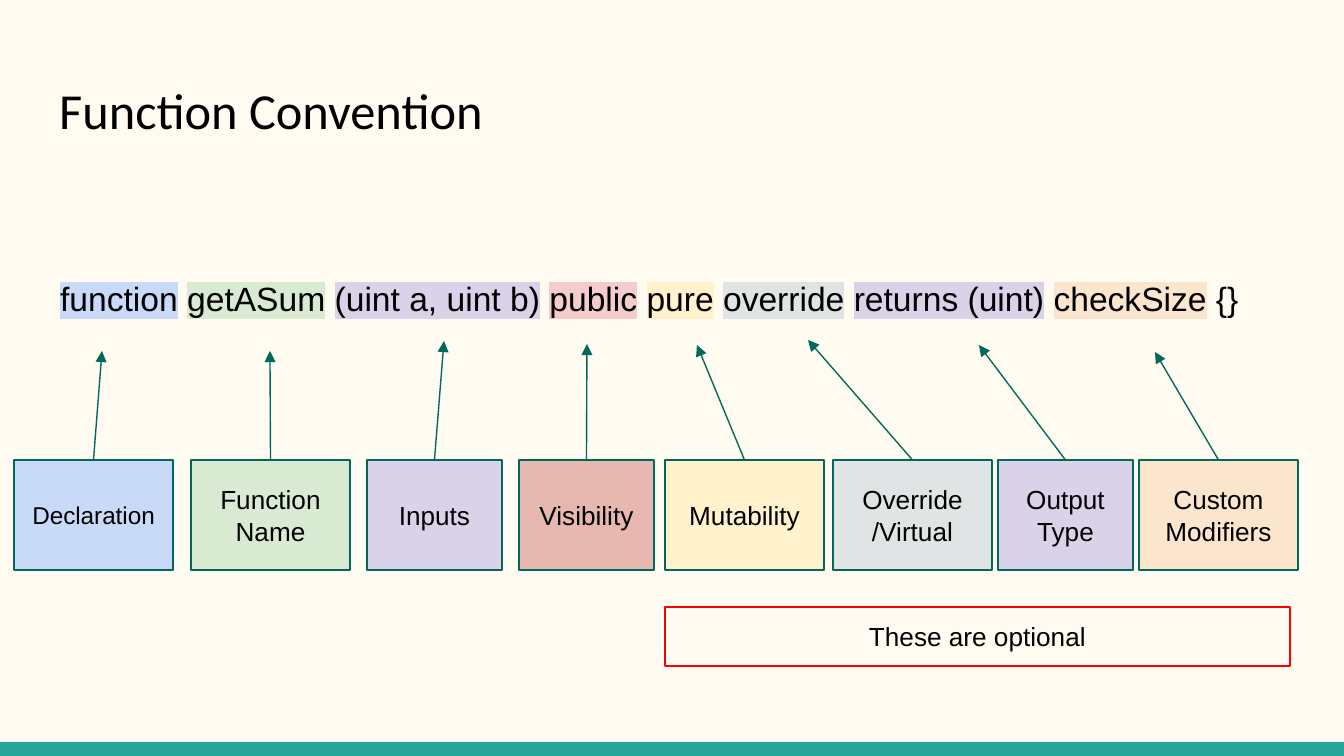
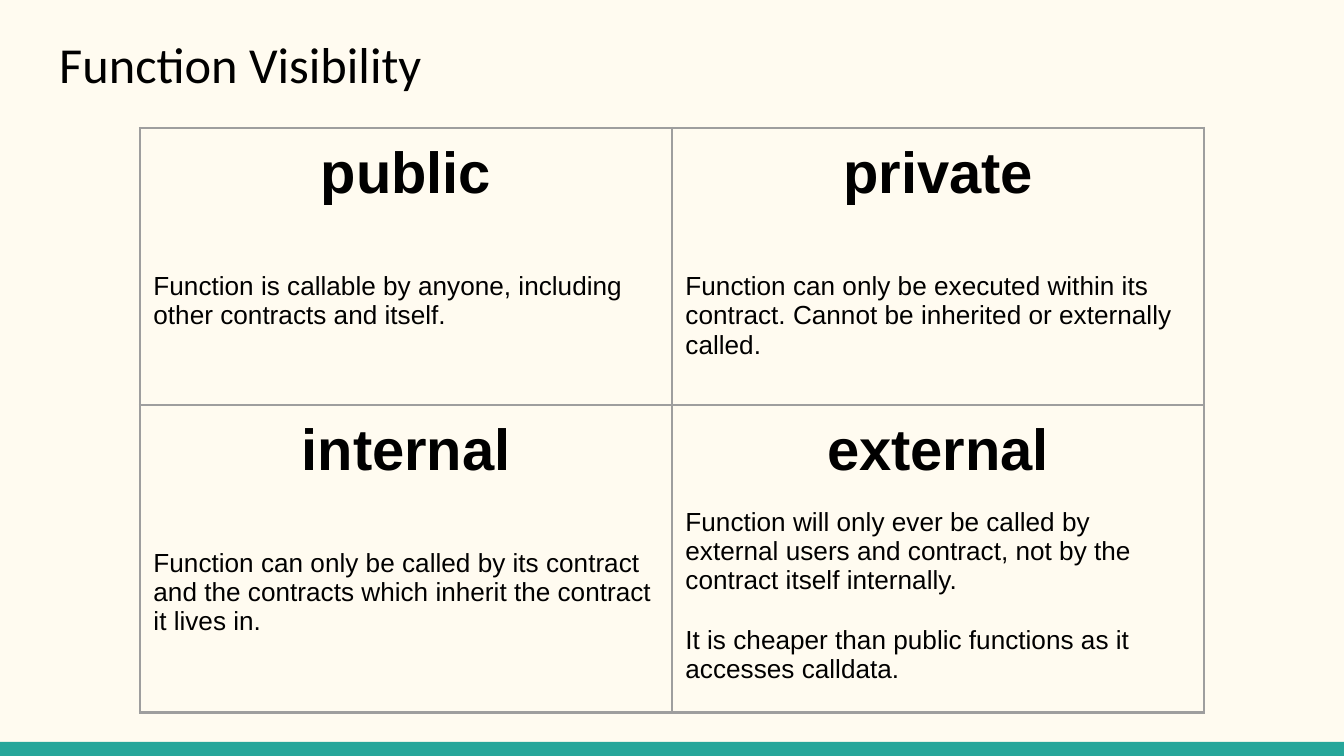
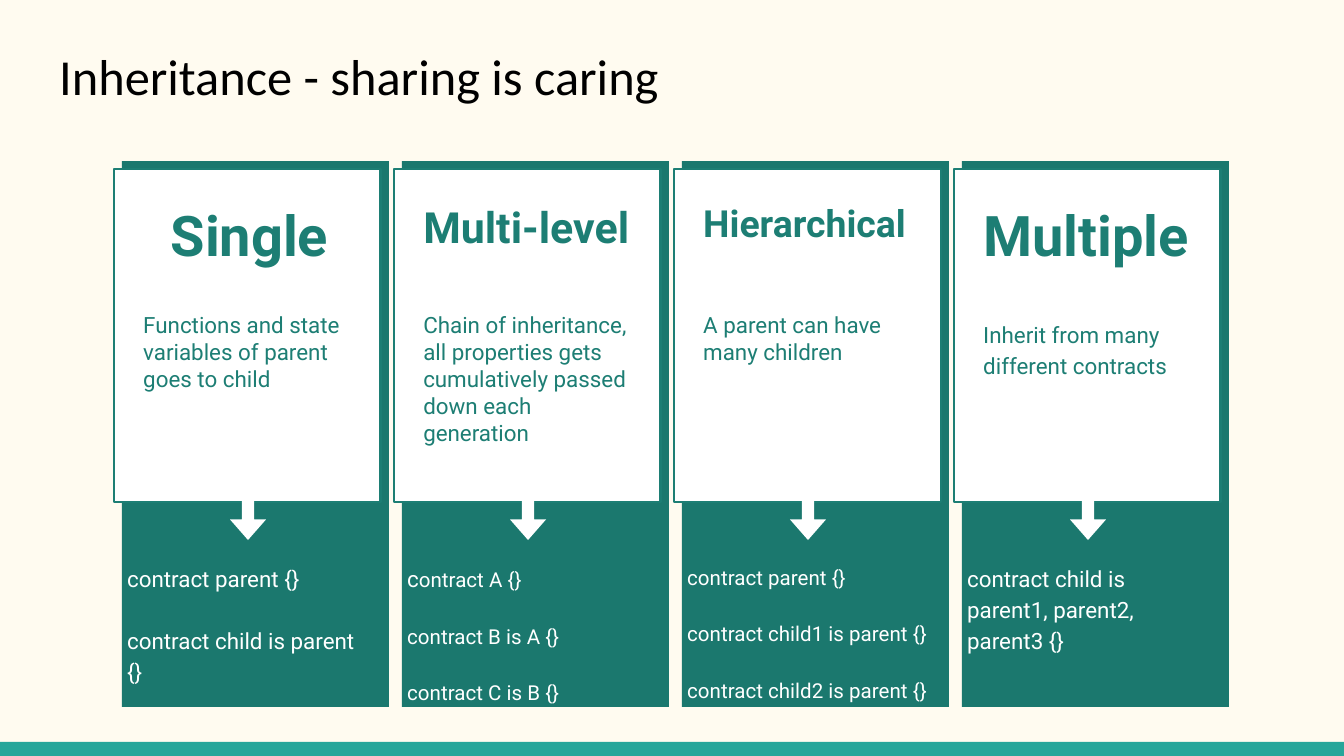
"""Build three slides on Solidity functions and inheritance."""
from lxml.etree import SubElement
from pptx import Presentation
from pptx.dml.color import RGBColor
from pptx.enum.shapes import MSO_CONNECTOR as Link, MSO_SHAPE as Kind
from pptx.enum.text import MSO_ANCHOR as Anchor, PP_ALIGN as Align
from pptx.oxml.ns import qn
from pptx.util import Pt

PX = 914400 / 134.4
WIDTH, HEIGHT = 1344, 756
CREAM, BAND, INK, WHITE = "FFFBF0", "26A69A", "000000", "FFFFFF"
EDGE, RED, GRID = "00695C", "FF0000", "9E9E9E"
CARD, CARD_INK = "1B786E", "1D7E74"
BLUE, GREEN, PURPLE, YELLOW = "C9DAF8", "D9EAD3", "D9D2E9", "FFF2CC"
GREY, ORANGE, PINK, ROSE = "E1E4E5", "FCE5CD", "F4CCCC", "E6B8AF"
colour = RGBColor.from_string


def add_box(shapes, place, kind=None, fill=None, line=None, weight=0.75):
    """Add a preset shape, or a text box when no kind is given."""
    place = [round(length * PX) for length in place]
    if kind is None:
        box = shapes.add_textbox(*place)
    else:
        box = shapes.add_shape(kind, *place)
        box.shadow.inherit = False
        if fill:
            box.fill.solid()
            box.fill.fore_color.rgb = colour(fill)
        else:
            box.fill.background()
        if line:
            box.line.color.rgb = colour(line)
            box.line.width = Pt(weight)
        else:
            box.line.fill.background()
    frame = box.text_frame
    frame.word_wrap = True
    frame.vertical_anchor = Anchor.TOP
    frame.margin_left = frame.margin_right = Pt(7.2)
    frame.margin_top = frame.margin_bottom = Pt(7.2)
    return box


def add_para(frame, spans, face="Arial", ink=INK, bold=False, align=Align.LEFT, gap=0, spacing=None):
    """Write one paragraph from (text, size, optional highlight) spans."""
    para = frame.paragraphs[0]
    if para.runs:
        para = frame.add_paragraph()
    para.alignment = align
    para.space_before = Pt(gap)
    if spacing:
        para.line_spacing = spacing
    for text, size, *marks in spans:
        span = para.add_run()
        span.text = text
        span.font.size = Pt(size)
        span.font.bold = bold
        span.font.color.rgb = colour(ink)
        for mark in marks:
            highlight = SubElement(span.font._element, qn("a:highlight"))
            SubElement(highlight, qn("a:srgbClr"), val=mark)
        span.font.name = face


deck = Presentation()
deck.slide_width, deck.slide_height = round(WIDTH * PX), round(HEIGHT * PX)
pages = []
for title, top in [
    ("Function Convention", 66),
    ("Function Visibility", 20),
    ("Inheritance - sharing is caring", 32),
]:
    page = deck.slides.add_slide(deck.slide_layouts[6])
    page.background.fill.solid()
    page.background.fill.fore_color.rgb = colour(CREAM)
    add_box(page.shapes, (0, 742, WIDTH, 14), Kind.RECTANGLE, BAND)
    heading = add_box(page.shapes, (46, top, 1252, 90))
    add_para(heading.text_frame, [(title, 27)], "Calibri")
    pages.append(page)
convention, visibility, inheritance = pages

signature = [
    ("function", BLUE), ("getASum", GREEN), ("(uint a, uint b)", PURPLE),
    ("public", PINK), ("pure", YELLOW), ("override", GREY),
    ("returns (uint)", PURPLE), ("checkSize", ORANGE),
]
spans = []
for word, mark in signature:
    spans += [(word, 18, mark), (" ", 18)]
code = add_box(convention.shapes, (47, 265, 1277, 67))
add_para(code.text_frame, spans[:-1] + [(" {}", 18)])

for lines, size, left, width, fill, tip in [
    (["Declaration"], 13, 14, 159, BLUE, (102, 351)),
    (["Function Name"], 14, 191, 159, GREEN, (270, 351)),
    (["Inputs"], 14, 367, 135, PURPLE, (444, 341)),
    (["Visibility"], 14, 519, 135, ROSE, (587, 344)),
    (["Mutability"], 14, 665, 159, YELLOW, (697, 345)),
    (["Override", "/Virtual"], 14, 833, 159, GREY, (808, 340)),
    (["Output Type"], 14, 998, 135, PURPLE, (979, 345)),
    (["Custom Modifiers"], 14, 1139, 159, ORANGE, (1155, 352)),
]:
    part = add_box(convention.shapes, (left, 460, width, 110), Kind.RECTANGLE, fill, EDGE)
    part.text_frame.vertical_anchor = Anchor.MIDDLE
    for line in lines:
        add_para(part.text_frame, [(line, size)], align=Align.CENTER)
    end_x, end_y = [round(length * PX) for length in tip]
    arrow = convention.shapes.add_connector(Link.STRAIGHT, 0, 0, end_x, end_y)
    arrow.begin_connect(part, 0)
    arrow.line.color.rgb = colour(EDGE)
    arrow.line.width = Pt(0.75)
    properties = arrow._element.spPr
    SubElement(properties.find(qn("a:ln")), qn("a:tailEnd"), type="triangle")
    SubElement(properties, qn("a:effectLst"))

optional = add_box(convention.shapes, (665, 607, 625, 59), Kind.RECTANGLE, line=RED)
add_para(optional.text_frame, [("These are optional", 14)], align=Align.CENTER)

levels = [
    ("public", 35, ["Function is callable by anyone, including other contracts and itself."]),
    ("private", 35, ["Function can only be executed within its contract. "
                     "Cannot be inherited or externally called."]),
    ("internal", 35, ["Function can only be called by its contract and the contracts "
                      "which inherit the contract it lives in."]),
    ("external", 13, ["Function will only ever be called by external users and contract, "
                      "not by the contract itself internally.",
                      "It is cheaper than public functions as it accesses calldata."]),
]
place = [round(length * PX) for length in (140, 128, 1064, 554)]
table = visibility.shapes.add_table(2, 2, *place).table
table.first_row = table.horz_banding = False
for cell, (level, gap, lines) in zip(table.iter_cells(), levels):
    cell.margin_left = cell.margin_right = Pt(7.2)
    cell.margin_top = cell.margin_bottom = Pt(7.2)
    for side in ("a:lnL", "a:lnR", "a:lnT", "a:lnB"):
        border = SubElement(cell._tc.get_or_add_tcPr(), qn(side), w=str(Pt(1.5)))
        SubElement(SubElement(border, qn("a:solidFill")), qn("a:srgbClr"), val=GRID)
    cell.fill.background()
    add_para(cell.text_frame, [(level, 31)], bold=True, align=Align.CENTER)
    for line in lines:
        add_para(cell.text_frame, [(line, 14)], gap=gap)
        gap = 16

cards = [
    ("Single", 30, Align.CENTER, "Functions and state variables of parent goes to child",
     298, 125, None, 16.5,
     [[("contract parent {}", 12)], [("contract child is parent {}", 12)]]),
    ("Multi-level", 23, Align.LEFT,
     "Chain of inheritance, all properties gets cumulatively passed down each generation",
     298, 161, None, 15,
     [[("c", 12), ("ontract A {}", 11)], [("contract B is A {}", 11)],
      [("contract C is B {}", 11)]]),
    ("Hierarchical", 20, Align.LEFT, "A parent can have many children",
     298, 82, None, 15,
     [[("contract parent {}", 11)], [("contract child1 is parent {}", 11)],
      [("contract child2 is parent {}", 11)]]),
    ("Multiple", 30, Align.LEFT, "Inherit from many different contracts",
     304, 112, 1.15, 0,
     [[("contract child is parent1, parent2, parent3 {}", 12)]]),
]
for index, (name, size, align, summary, top, height, spacing, gap, lines) in enumerate(cards):
    left = 114 + 280 * index
    shapes = inheritance.shapes.add_group_shape().shapes
    add_box(shapes, (left + 8, 161, 267, 546), Kind.RECTANGLE, CARD)
    add_box(shapes, (left, 169, 267, 333), Kind.RECTANGLE, WHITE, CARD_INK, 1.5)
    detail = add_box(shapes, (left + 16, top, 239, height))
    add_para(detail.text_frame, [(summary, 12)], "Roboto", CARD_INK, spacing=spacing)
    heading = add_box(shapes, (left + 16, 187, 239, 90))
    add_para(heading.text_frame, [(name, size)], "Roboto", CARD_INK, True, align)
    pointer = add_box(shapes, (left + 108, 496, 52, 36), Kind.RIGHT_ARROW, WHITE)
    pointer.rotation = 90
    pointer.adjustments[0], pointer.adjustments[1] = 0.34, 0.57
    example = add_box(shapes, (left, 548, 267, 145))
    for number, line in enumerate(lines):
        add_para(example.text_frame, line, "Roboto", WHITE, gap=gap if number else 0, spacing=1.15)

deck.save("out.pptx")
